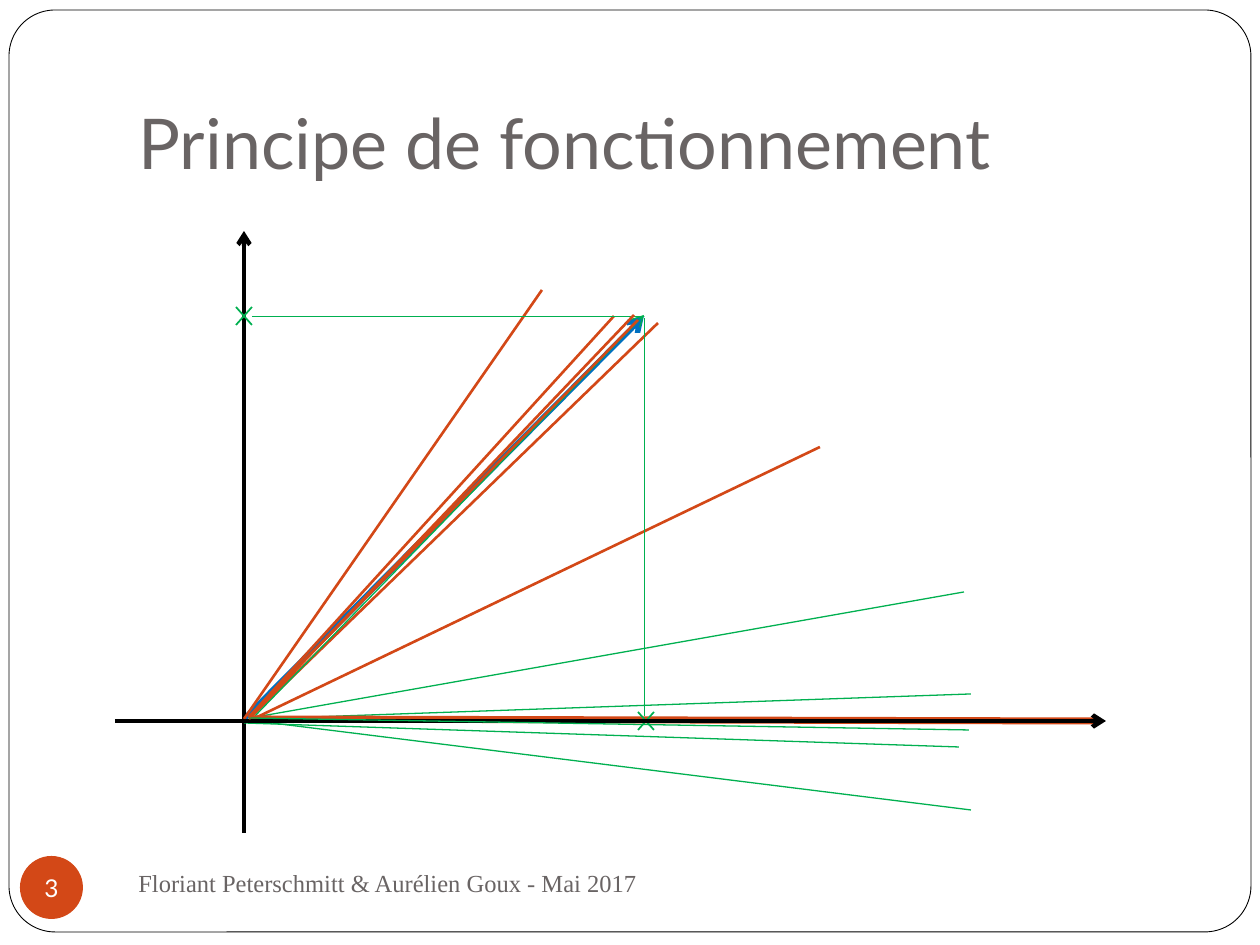
from pptx import Presentation
from pptx.dml.color import RGBColor
from pptx.enum.dml import MSO_LINE
from pptx.enum.shapes import MSO_CONNECTOR, MSO_SHAPE
from pptx.enum.text import MSO_ANCHOR, MSO_AUTO_SIZE, PP_ALIGN
from pptx.oxml.ns import qn
from pptx.util import Pt
from lxml.etree import SubElement

PX = 914400 // 126
BLACK = RGBColor(0x00, 0x00, 0x00)
WHITE = RGBColor(0xFF, 0xFF, 0xFF)
GREY = RGBColor(0x69, 0x64, 0x64)
ORANGE = RGBColor(0xD3, 0x48, 0x17)
GREEN = RGBColor(0x00, 0xB0, 0x50)
BLUE = RGBColor(0x00, 0x70, 0xC0)

prs = Presentation()
prs.slide_width, prs.slide_height = 1260 * PX, 945 * PX
slide = prs.slides.add_slide(prs.slide_layouts[5])
shapes = slide.shapes


def write(sp, text, font, size, color, anchor, align=PP_ALIGN.LEFT):
    tf = sp.text_frame
    tf.text = text
    tf.word_wrap = True
    tf.auto_size = MSO_AUTO_SIZE.NONE
    tf.vertical_anchor = anchor
    p = tf.paragraphs[0]
    p.alignment = align
    f = p.runs[0].font
    f.name, f.size, f.color.rgb = font, Pt(size), color
    return tf


def add_line(x1, y1, x2, y2, color, width, arrow=False, dash=None):
    line = shapes.add_connector(MSO_CONNECTOR.STRAIGHT, x1 * PX, y1 * PX, x2 * PX, y2 * PX)
    line.line.color.rgb = color
    line.line.width = Pt(width)
    if dash:
        line.line.dash_style = dash
    if arrow:
        SubElement(line.line._get_or_add_ln(), qn("a:tailEnd"), type="arrow")
    SubElement(line._element.spPr, qn("a:effectLst"))


# Rounded frame, behind the title
frame = shapes.add_shape(MSO_SHAPE.ROUNDED_RECTANGLE, 9 * PX, 10 * PX, 1242 * PX, 922 * PX)
frame.adjustments[0] = 0.05
frame.shadow.inherit = False
frame.fill.solid()
frame.fill.fore_color.rgb = WHITE
frame.line.color.rgb = BLACK
frame.line.width = Pt(0.5)
shapes._spTree.insert(2, frame._element)

title = shapes.title
title.left, title.top, title.width, title.height = 126 * PX, 38 * PX, 1071 * PX, 158 * PX
tf = write(title, "Principe de fonctionnement", "Lato", 40, GREY, MSO_ANCHOR.BOTTOM)
tf.margin_bottom = Pt(7.2)

footer = shapes.add_textbox(126 * PX, 851 * PX, 546 * PX, 63 * PX)
write(footer, "Floriant Peterschmitt & Aurélien Goux - Mai 2017", "Times New Roman", 14, GREY,
      MSO_ANCHOR.MIDDLE)

badge = shapes.add_shape(MSO_SHAPE.OVAL, 20 * PX, 856 * PX, 63 * PX, 63 * PX)
badge.shadow.inherit = False
badge.fill.solid()
badge.fill.fore_color.rgb = ORANGE
badge.line.fill.background()
tf = write(badge, "3", "Lato", 14, WHITE, MSO_ANCHOR.MIDDLE, PP_ALIGN.CENTER)
tf.margin_left = tf.margin_right = tf.margin_top = tf.margin_bottom = 0
tf.word_wrap = False

# Target vector and vertical axis
add_line(244, 719, 644, 316, BLUE, 3, arrow=True)
add_line(244, 833, 244, 231, BLACK, 2.5, arrow=True)

# Successive rotations: green below, orange above
add_line(251, 721, 977, 721, GREEN, 0.75)
for green, orange in [
    ((256, 721, 971, 810), (244, 719, 542, 290)),
    ((244, 723, 959, 747), (249, 717, 614, 316)),
    ((256, 717, 964, 592), (249, 721, 820, 447)),
    ((256, 719, 971, 694), (252, 716, 658, 323)),
]:
    add_line(*green, GREEN, 0.75)
    add_line(*orange, ORANGE, 1.5)
add_line(255, 716, 644, 315, GREEN, 0.75, arrow=True)
add_line(249, 719, 1096, 721, ORANGE, 4)

# Projections of the target on both axes
add_line(644, 318, 644, 716, GREEN, 0.25, dash=MSO_LINE.ROUND_DOT)
add_line(252, 316, 644, 316, GREEN, 0.25, dash=MSO_LINE.ROUND_DOT)
for x, y in [(646, 721), (244, 316)]:
    add_line(x - 8, y + 9, x + 8, y - 9, GREEN, 1)
    add_line(x - 8, y - 9, x + 8, y + 9, GREEN, 1)

# Horizontal axis and last rotations
add_line(115, 721, 1106, 721, BLACK, 2.5, arrow=True)
add_line(249, 719, 634, 315, ORANGE, 1.5)
add_line(249, 718, 969, 730, GREEN, 0.75)
add_line(249, 717, 638, 320, ORANGE, 1.5)

prs.save("out.pptx")
